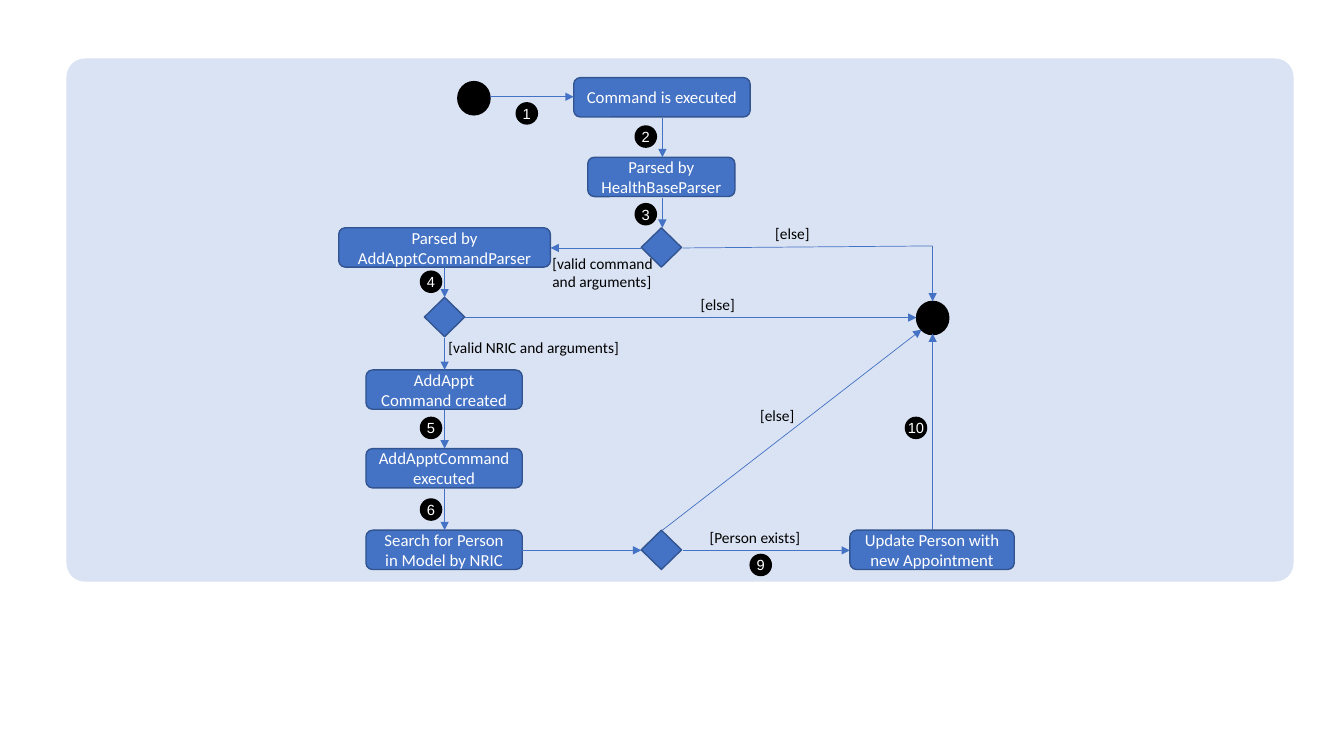
from lxml.etree import SubElement
from pptx import Presentation
from pptx.dml.color import RGBColor
from pptx.enum.shapes import MSO_CONNECTOR, MSO_SHAPE
from pptx.enum.text import MSO_ANCHOR, PP_ALIGN
from pptx.oxml.ns import qn
from pptx.util import Inches, Pt

PANEL = RGBColor(0xDA, 0xE3, 0xF3)
BLUE = RGBColor(0x44, 0x72, 0xC4)
OUTLINE = RGBColor(0x32, 0x54, 0x91)
BLACK = RGBColor(0, 0, 0)
WHITE = RGBColor(0xFF, 0xFF, 0xFF)

# Centre lines of the flow
PARSE_X, COMMAND_X, END_X = 6.57, 4.41, 9.25
PARSER_Y, CHECK_Y, UPDATE_Y = 2.46, 3.15, 5.46
STEP_HEIGHT = 0.39

# Text, left, top, width
STEPS = [
    ("Command is executed", 5.69, 0.77, 1.75),
    ("Parsed by HealthBaseParser", 5.83, 1.56, 1.46),
    ("Parsed by AddApptCommandParser", 3.36, 2.26, 2.1),
    ("AddAppt Command created", 3.63, 3.67, 1.55),
    ("AddApptCommand executed", 3.63, 4.45, 1.55),
    ("Search for Person in Model by NRIC", 3.63, 5.26, 1.55),
    ("Update Person with new Appointment", 8.43, 5.26, 1.63),
]
DECISIONS = [(6.36, 2.26), (4.21, 2.95), (6.36, 5.26)]
TERMINALS = [(4.54, 0.81), (9.09, 2.99)]

# Start x, start y, end x, end y
ARROWS = [
    (4.86, 0.96, 5.69, 0.96),
    (PARSE_X, 1.17, PARSE_X, 1.56),
    (PARSE_X, 1.96, PARSE_X, 2.26),
    (6.36, PARSER_Y, 5.46, PARSER_Y),
    (COMMAND_X, 2.65, COMMAND_X, 2.95),
    (COMMAND_X, 3.35, COMMAND_X, 3.67),
    (COMMAND_X, 4.07, COMMAND_X, 4.45),
    (COMMAND_X, 4.85, COMMAND_X, 5.26),
    (5.18, UPDATE_Y, 6.36, UPDATE_Y),
    (6.77, UPDATE_Y, 8.43, UPDATE_Y),
    (END_X, 5.26, END_X, 3.31),
    (END_X, 2.44, END_X, 2.99),
    (PARSE_X, 5.26, 9.14, 3.27),
    (4.61, CHECK_Y, 9.09, CHECK_Y),
]

# Text, left, top, width, height
CONDITIONS = [
    ("[valid command and arguments]", 5.38, 2.47, 1.26, 0.47),
    ("[valid NRIC and arguments]", 4.35, 3.31, 2.06, 0.29),
    ("[Person exists]", 6.94, 5.19, 1.34, 0.29),
    ("[else]", 6.85, 2.88, 1.34, 0.29),
    ("[else]", 7.59, 2.17, 1.34, 0.29),
    ("[else]", 7.44, 3.98, 1.34, 0.29),
]

# Number, left, top
BADGES = [
    ("1", 5.12, 1.02), ("2", 6.3, 1.25), ("3", 6.3, 2.02),
    ("4", 4.17, 2.69), ("5", 4.17, 4.14), ("6", 4.17, 4.95),
    ("9", 7.44, 5.5), ("10", 8.98, 4.14),
]


def add_box(page, kind, left, top, width, height, fill, outline=None):
    box = page.shapes.add_shape(
        kind, Inches(left), Inches(top), Inches(width), Inches(height))
    box.shadow.inherit = False
    box.fill.solid()
    box.fill.fore_color.rgb = fill
    if outline is None:
        box.line.fill.background()
    else:
        box.line.color.rgb = outline
        box.line.width = Pt(1)
    return box


def write(box, text, size, color, font="Calibri", align=PP_ALIGN.LEFT):
    box.text_frame.text = text
    paragraph = box.text_frame.paragraphs[0]
    paragraph.alignment = align
    span = paragraph.runs[0]
    span.font.name = font
    span.font.size = Pt(size)
    span.font.color.rgb = color


def add_step(page, text, left, top, width):
    box = add_box(page, MSO_SHAPE.ROUNDED_RECTANGLE, left, top, width,
                  STEP_HEIGHT, BLUE, OUTLINE)
    box.text_frame.word_wrap = True
    box.text_frame.vertical_anchor = MSO_ANCHOR.MIDDLE
    write(box, text, 12, WHITE, align=PP_ALIGN.CENTER)


def add_badge(page, number, left, top):
    badge = add_box(page, MSO_SHAPE.OVAL, left, top, 0.21, 0.21, BLACK, BLACK)
    frame = badge.text_frame
    frame.word_wrap = False
    frame.vertical_anchor = MSO_ANCHOR.MIDDLE
    frame.margin_left = frame.margin_right = 0
    frame.margin_top = frame.margin_bottom = 0
    write(badge, number, 10.5, WHITE, "Arial", PP_ALIGN.CENTER)


def add_condition(page, text, left, top, width, height):
    box = page.shapes.add_textbox(
        Inches(left), Inches(top), Inches(width), Inches(height))
    box.text_frame.word_wrap = True
    write(box, text, 11, BLACK)


def add_line(page, start_x, start_y, end_x, end_y, arrow=True):
    line = page.shapes.add_connector(
        MSO_CONNECTOR.STRAIGHT, Inches(start_x), Inches(start_y),
        Inches(end_x), Inches(end_y))
    line.line.color.rgb = BLUE
    line.line.width = Pt(0.5)
    if arrow:
        SubElement(line.line._get_or_add_ln(), qn("a:tailEnd"), type="triangle")
    SubElement(line._element.spPr, qn("a:effectLst"))


def main():
    deck = Presentation()
    deck.slide_width = Inches(13.33)
    deck.slide_height = Inches(7.5)
    page = deck.slides.add_slide(deck.slide_layouts[6])

    # Background panel
    panel = add_box(page, MSO_SHAPE.ROUNDED_RECTANGLE,
                    0.66, 0.58, 12.17, 5.19, PANEL)
    panel.adjustments[0] = 0.035

    # Steps, decisions, start and end
    for step in STEPS:
        add_step(page, *step)
    for left, top in DECISIONS:
        add_box(page, MSO_SHAPE.DIAMOND, left, top, 0.4, STEP_HEIGHT, BLUE, OUTLINE)
    for left, top in TERMINALS:
        add_box(page, MSO_SHAPE.OVAL, left, top, 0.32, 0.33, BLACK, BLACK)

    # Flow lines
    for arrow in ARROWS:
        add_line(page, *arrow)
    add_line(page, 6.77, PARSER_Y, END_X, 2.44, arrow=False)

    # Conditions and step numbers
    for condition in CONDITIONS:
        add_condition(page, *condition)
    for badge in BADGES:
        add_badge(page, *badge)

    deck.save("out.pptx")


if __name__ == "__main__":
    main()
